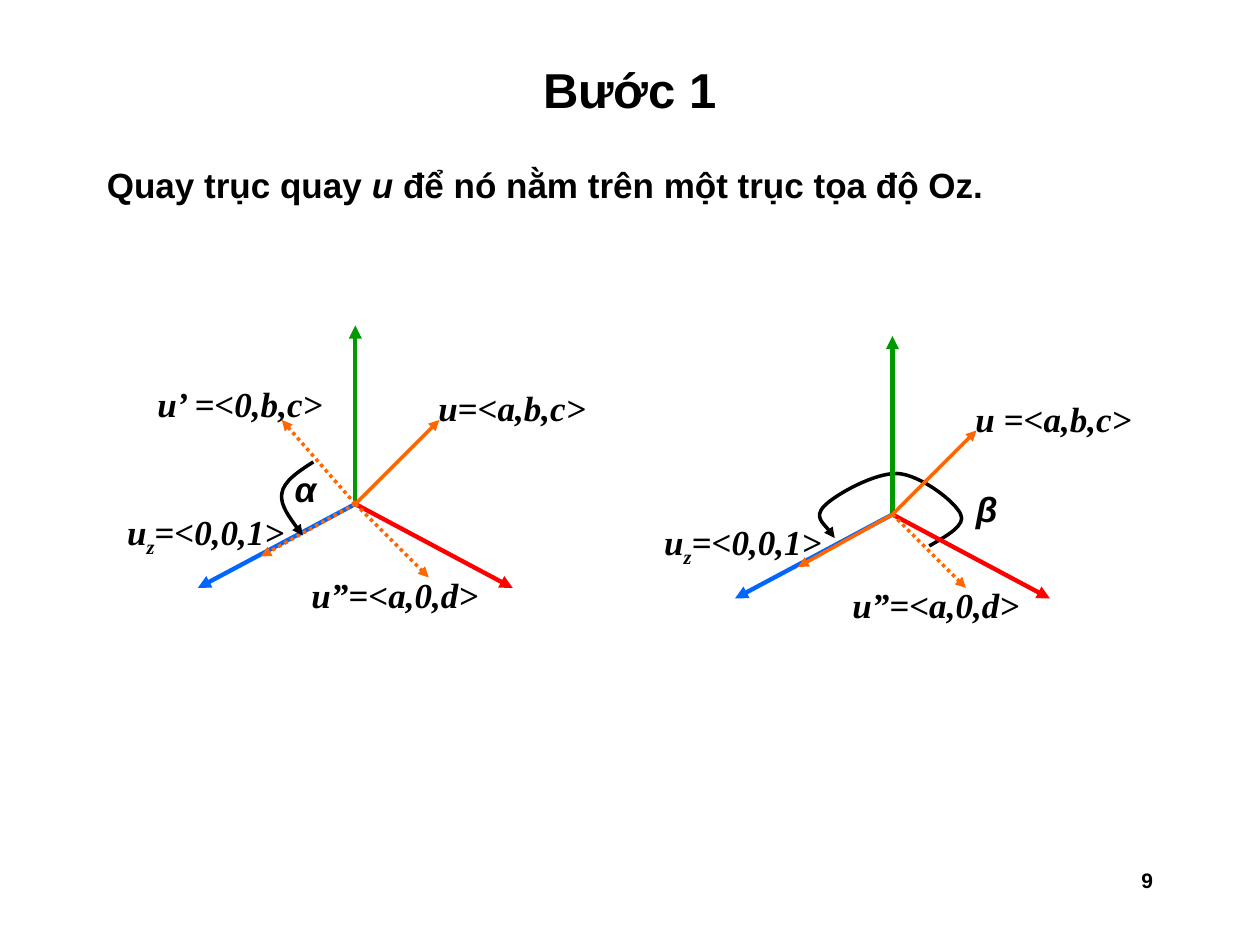
from lxml.etree import SubElement as Sub
from pptx import Presentation
from pptx.dml.color import RGBColor as Rgb
from pptx.enum.dml import MSO_LINE as Dash
from pptx.enum.shapes import MSO_CONNECTOR as Conn
from pptx.enum.text import MSO_ANCHOR as Anchor, MSO_AUTO_SIZE as Auto, PP_ALIGN as Align
from pptx.oxml.ns import qn
from pptx.util import Inches, Pt

COLS, ROWS = 120, 90
WIDE, HIGH = Inches(10), Inches(7.5)
INK = {"text": "000000", "x": "FF0000", "y": "009900", "z": "0066FF", "u": "FF6600"}
SANS = {"name": "Arial", "bold": True, "size": Pt(20)}
MATH = {"name": "Times New Roman", "bold": True, "italic": True, "size": Pt(20)}
GREEK = {**SANS, "italic": True}
UZ = [("u", {}), ("z", {"sub": True}), ("=<0,0,1>", {})]
AXES = {"x": (15, 8), "y": (0, -17), "z": (-15, 8)}
ALPHA = [(-4, -4), (-5.4, -3.1), (-6.84, -2.16), (-7, -1),
         (-7.2, 0.12), (-5.4, 2.5), (-5, 3)]
BETA = [(3.5, 3), (5.25, 2), (7, 1), (6.5, 0), (6, -1.2), (2.7, -3.75), (0.5, -3.9),
        (-1.7, -4), (-5.5, -1.85), (-6.5, -0.8), (-7.5, 0.25), (-5.8, 1.65), (-5.5, 2.25)]


def grid(col, row):
    return round(WIDE * col / COLS), round(HIGH * row / ROWS)


def shift(base, step):
    return base[0] + step[0], base[1] + step[1]


def apply(item, form):
    for key, value in form.items():
        setattr(item, key, value)


def stroke(shape, ink, form):
    shape.line.color.rgb = Rgb.from_string(INK[ink])
    apply(shape.line, form)
    Sub(shape.line._get_or_add_ln(), qn("a:tailEnd"), type="triangle")


def arrow(shapes, base, step, ink="u", width=2, dots=False):
    line = shapes.add_connector(Conn.STRAIGHT, *grid(*base), *grid(*shift(base, step)))
    form = {"width": Pt(width)}
    if dots:
        form["dash_style"] = Dash.ROUND_DOT
    stroke(line, ink, form)
    Sub(line._element.spPr, qn("a:effectLst"))


def axes(slide, base):
    group = slide.shapes.add_group_shape()
    for ink, step in AXES.items():
        arrow(group.shapes, base, step, ink, 2.5)


def curve(slide, base, steps):
    dots = [grid(*shift(base, step)) for step in steps]
    pen = slide.shapes.build_freeform(*dots[0], scale=1.0)
    pen.add_line_segments(dots[1:], close=False)
    shape = pen.convert_to_shape()
    shape.shadow.inherit = False
    shape.fill.background()
    stroke(shape, "text", {"width": Pt(2)})
    trace = shape._element.spPr.find(".//" + qn("a:path"))
    legs = trace.findall(qn("a:lnTo"))
    for i in range(0, len(legs), 3):
        bend = Sub(trace, qn("a:cubicBezTo"))
        for leg in legs[i:i + 3]:
            bend.append(leg[0])
            trace.remove(leg)


def write(slide, spot, size, runs, font, frame={}, para={}):
    box = slide.shapes.add_textbox(*grid(*spot), *grid(*size))
    apply(box.text_frame, {"word_wrap": True, **frame})
    line = box.text_frame.paragraphs[0]
    apply(line, para)
    for text, extra in runs:
        run = line.add_run()
        run.text = text
        form = {**font, **extra}
        if form.pop("sub", False):
            run._r.get_or_add_rPr().set("baseline", "-25000")
        apply(run.font, form)
        run.font.color.rgb = Rgb.from_string(INK["text"])
    return box


def label(slide, base, step, width, runs, font=MATH, height=5.28):
    if isinstance(runs, str):
        runs = [(runs, {})]
    frame = {"word_wrap": False, "auto_size": Auto.SHAPE_TO_FIT_TEXT}
    write(slide, shift(base, step), (width, height), runs, font, frame)


def scene(slide, base, name, wide, low, flat):
    axes(slide, base)
    arrow(slide.shapes, base, (8, -8))
    arrow(slide.shapes, base, (7, 7), dots=True)
    arrow(slide.shapes, base, (-9, 5), dots=flat)
    label(slide, base, (6.72, -11.76), wide, name)
    label(slide, base, (low, 6), 18.5, "u”=<a,0,d>")
    label(slide, base, (-22.92, 0), 17.4, UZ, height=5.76)


def main():
    deck = Presentation()
    apply(deck, {"slide_width": WIDE, "slide_height": HIGH})
    slide = deck.slides.add_slide(deck.slide_layouts[6])
    left, right = (33.84, 48), (85, 49)
    curve(slide, right, BETA)
    write(slide, (9, 4), (102, 9), [("Bước 1", {})], {**SANS, "size": Pt(28)},
          {"vertical_anchor": Anchor.MIDDLE}, {"alignment": Align.CENTER})

    scene(slide, left, "u=<a,b,c>", 16.5, -5.35, True)
    arrow(slide.shapes, left, (-7, -8), dots=True)
    curve(slide, left, ALPHA)
    label(slide, left, (-20.04, -12.16), 18.5, "u’ =<0,b,c>")
    label(slide, left, (-6.96, -4.08), 4.5, "α", GREEK)

    scene(slide, right, "u =<a,b,c>", 17.4, -5, False)
    label(slide, right, (6.76, -3.12), 4.3, "β", GREEK)

    body = write(slide, (9, 15), (102, 65),
                 [("Quay trục quay ", {}), ("u", {"italic": True}),
                  (" để nó nằm trên một trục tọa độ Oz.", {})], SANS)
    props = body.text_frame.paragraphs[0]._p.get_or_add_pPr()
    props.set("marL", str(Inches(0.38)))
    props.set("indent", str(-Inches(0.38)))
    write(slide, (86, 82), (25, 6), [("9", {})], {**SANS, "size": Pt(12)},
          para={"alignment": Align.RIGHT})
    deck.save("out.pptx")


if __name__ == "__main__":
    main()
